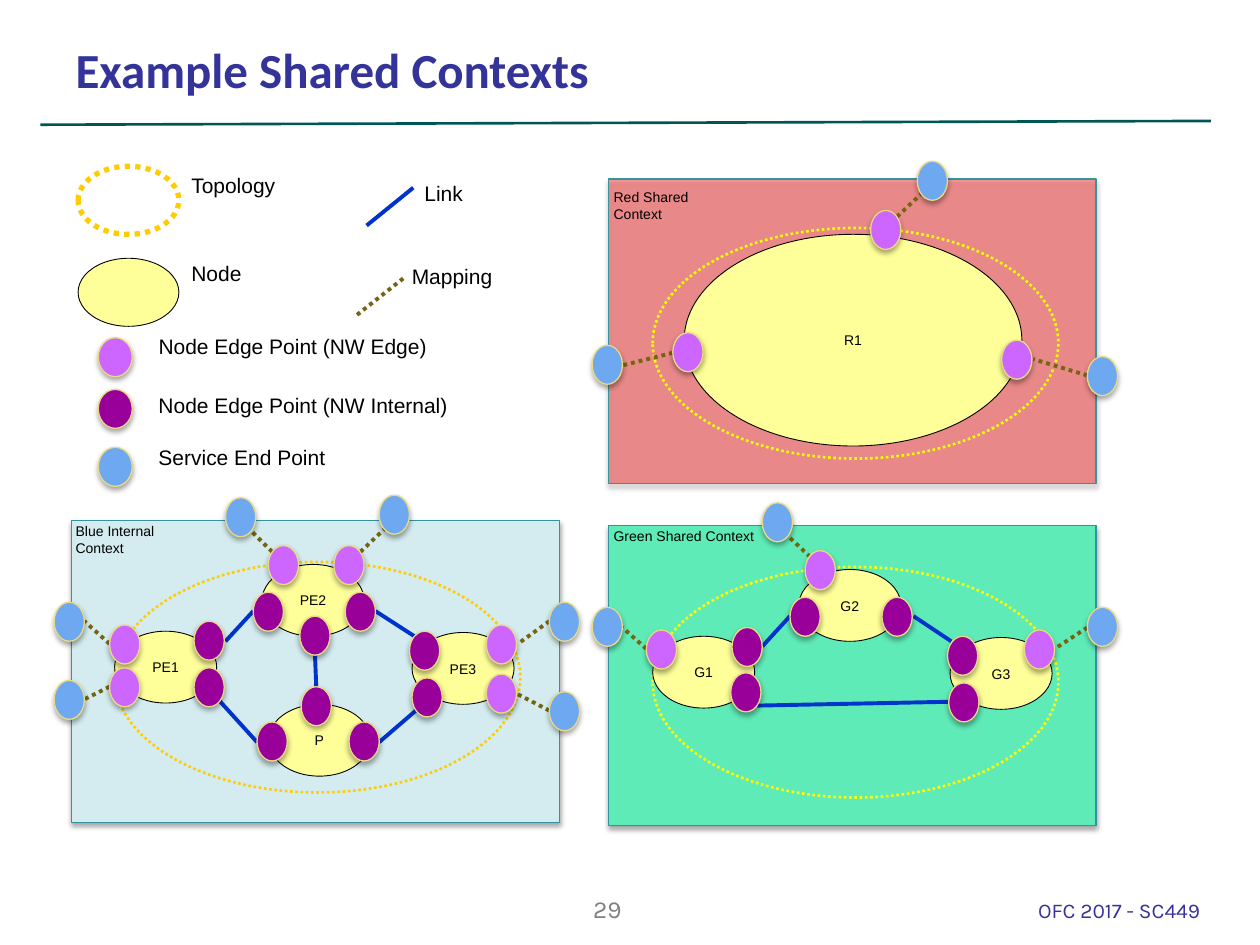
from dataclasses import dataclass
from lxml.etree import SubElement
from pptx import Presentation
from pptx.dml.color import RGBColor
from pptx.enum.dml import MSO_LINE
from pptx.enum.shapes import MSO_CONNECTOR, MSO_SHAPE
from pptx.enum.text import MSO_ANCHOR, MSO_AUTO_SIZE, PP_ALIGN
from pptx.oxml.ns import qn
from pptx.util import Inches, Pt


@dataclass(frozen=True)
class Theme:
    title: str = "333399"
    rule: str = "005557"
    text: str = "000000"
    page: str = "808080"
    node: str = "FFFF99"
    edge: str = "CC66FF"
    internal: str = "990099"
    service: str = "6DA8F0"
    point_line: str = "EBDA84"
    panel_line: str = "35939E"
    link: str = "0033CC"
    mapping: str = "756513"
    orange: str = "FFCC00"
    yellow: str = "FFFF00"
    red: str = "FF0000"
    green: str = "5FEBB7"
    blue: str = "D4ECEF"
    title_size: int = 28
    page_size: int = 14
    legend_size: int = 12
    small_size: int = 8


theme = Theme()
presentation = Presentation()
presentation.slide_width, presentation.slide_height = Inches(10), Inches(7.5)
slide = presentation.slides.add_slide(presentation.slide_layouts[5])


def add_figure(kind, left, top, width, height, fill, line, weight, shadow=False):
    figure = slide.shapes.add_shape(
        kind, Inches(left), Inches(top), Inches(width), Inches(height))
    if fill:
        figure.fill.solid()
        figure.fill.fore_color.rgb = RGBColor.from_string(fill)
    else:
        figure.fill.background()
    figure.line.color.rgb = RGBColor.from_string(line)
    figure.line.width = Pt(weight)
    figure.shadow.inherit = False
    if shadow:
        effects = figure._element.spPr.find(qn("a:effectLst"))
        outer = SubElement(effects, qn("a:outerShdw"), blurRad=str(Pt(3.1)),
                           dist=str(Pt(1.8)), dir="5400000", rotWithShape="0")
        black = SubElement(outer, qn("a:srgbClr"), val="000000")
        SubElement(black, qn("a:alpha"), val="35000")
    return figure


def add_line(x1, y1, x2, y2, color, weight=2.25, dash=None):
    line = slide.shapes.add_connector(
        MSO_CONNECTOR.STRAIGHT, Inches(x1), Inches(y1), Inches(x2), Inches(y2))
    line.line.color.rgb = RGBColor.from_string(color)
    line.line.width = Pt(weight)
    line.line.dash_style = dash
    SubElement(line._element.spPr, qn("a:effectLst"))


add_line(0.32, 0.99, 9.61, 0.96, theme.rule, 1.5)

title = slide.shapes.title
title.left, title.top, title.width, title.height = (
    Inches(0.5), Inches(0.28), Inches(9), Inches(0.55))
title.text_frame.text = "Example Shared Contexts"
title.text_frame.auto_size = MSO_AUTO_SIZE.NONE
title.text_frame.vertical_anchor = MSO_ANCHOR.BOTTOM
heading = title.text_frame.paragraphs[0]
heading.alignment = PP_ALIGN.LEFT
heading.font.name, heading.font.size, heading.font.bold = "Calibri", Pt(theme.title_size), True
heading.font.color.rgb = RGBColor.from_string(theme.title)

for top, color in [(2.68, theme.edge), (3.09, theme.internal), (3.55, theme.service)]:
    add_figure(MSO_SHAPE.OVAL, 0.78, top, 0.27, 0.31, color, theme.point_line, 0.75, True)
add_line(3.28, 1.49, 2.91, 1.79, theme.link)
add_line(3.2, 2.21, 2.82, 2.51, theme.mapping, dash=MSO_LINE.ROUND_DOT)
legend_topology = add_figure(MSO_SHAPE.OVAL, 0.62, 1.32, 0.8, 0.54, None, theme.orange, 3)
legend_topology.line.dash_style = MSO_LINE.ROUND_DOT
add_figure(MSO_SHAPE.OVAL, 0.62, 2.05, 0.8, 0.54, theme.node, theme.text, 0.5)

contexts = [
    dict(
        panel=(4.83, 4.17, 3.87, 2.38), fill=theme.green, opacity=100,
        topology=(5.18, 4.5), topology_color=theme.yellow,
        links=[(6.27, 4.89, 6.05, 5.13), (7.53, 5.57, 6.01, 5.6), (7.55, 5.09, 7.25, 4.89)],
        nodes=[("G1", 5.18, 5.05, 0.81, 0.57), ("G2", 6.34, 4.52, 0.81, 0.57),
               ("G3", 7.54, 5.06, 0.81, 0.57)],
        internal=[(5.81, 4.98), (5.8, 5.34), (6.27, 4.74), (7, 4.74), (7.52, 5.05), (7.53, 5.42)],
        edge=[(5.13, 5), (6.39, 4.37), (8.13, 5)],
        mappings=[(5.13, 5.15, 4.94, 4.98), (8.63, 4.98, 8.37, 5.15), (6.43, 4.42, 6.26, 4.26)],
        service=[(4.7, 4.82), (8.63, 4.82), (6.05, 3.99)],
    ),
    dict(
        panel=(4.83, 1.42, 3.87, 2.42), fill=theme.red, opacity=38,
        topology=(5.18, 1.81), topology_color=theme.yellow,
        links=[],
        nodes=[("R1", 5.43, 1.86, 2.68, 1.68)],
        internal=[],
        edge=[(5.34, 2.64), (6.91, 1.67), (7.95, 2.7)],
        mappings=[(5.34, 2.8, 4.94, 2.9), (8.63, 2.98, 8.2, 2.85), (7.12, 1.72, 7.31, 1.54)],
        service=[(4.7, 2.74), (8.63, 2.83), (7.28, 1.28)],
    ),
    dict(
        panel=(0.57, 4.13, 3.87, 2.4), fill=theme.blue, opacity=100,
        topology=(0.91, 4.46), topology_color=theme.orange,
        links=[(2.01, 4.85, 1.79, 5.09), (2.04, 5.89, 1.74, 5.56), (2.51, 5.45, 2.5, 5.2),
               (3.29, 5.05, 2.98, 4.85), (3.3, 5.64, 3.01, 5.89)],
        nodes=[("P", 2.13, 5.59, 0.81, 0.57), ("PE1", 0.91, 5.01, 0.81, 0.57),
               ("PE2", 2.08, 4.48, 0.81, 0.57), ("PE3", 3.27, 5.02, 0.81, 0.57)],
        internal=[(2.04, 5.73), (2.77, 5.73), (2.39, 5.45), (1.54, 4.93), (1.54, 5.3),
                  (2.01, 4.7), (2.38, 4.89), (2.74, 4.7), (3.25, 5.01), (3.27, 5.38)],
        edge=[(0.87, 4.96), (0.87, 5.3), (2.13, 4.33), (2.65, 4.33), (3.86, 4.96), (3.86, 5.35)],
        mappings=[(0.87, 5.11, 0.67, 4.93), (0.87, 5.45, 0.67, 5.55), (4.36, 4.93, 4.11, 5.11),
                  (4.36, 5.64, 4.11, 5.51), (2.16, 4.38, 1.99, 4.21), (2.86, 4.38, 3.05, 4.2)],
        service=[(0.43, 4.78), (0.43, 5.4), (4.36, 4.78), (4.36, 5.49), (3.01, 3.93), (1.79, 3.95)],
    ),
]

for context in contexts:
    panel = add_figure(MSO_SHAPE.RECTANGLE, *context["panel"], context["fill"],
                       theme.panel_line, 0.75, True)
    if context["opacity"] < 100:
        panel_color = panel._element.spPr.find(qn("a:solidFill"))[0]
        SubElement(panel_color, qn("a:alpha"), val=str(context["opacity"] * 1000))
    topology = add_figure(MSO_SHAPE.OVAL, *context["topology"], 3.22, 1.83, None,
                          context["topology_color"], 1.5)
    topology.line.dash_style = MSO_LINE.ROUND_DOT
    for ends in context["links"]:
        add_line(*ends, theme.link)
    for name, *box in context["nodes"]:
        node = add_figure(MSO_SHAPE.OVAL, *box, theme.node, theme.text, 0.5)
        frame = node.text_frame
        frame.margin_left = frame.margin_right = Inches(0.05)
        frame.margin_top = frame.margin_bottom = Inches(0.05)
        frame.vertical_anchor = MSO_ANCHOR.MIDDLE
        frame.text = name
        node_name = frame.paragraphs[0]
        node_name.alignment = PP_ALIGN.CENTER
        node_name.font.name, node_name.font.size = "Arial", Pt(theme.small_size)
        node_name.font.color.rgb = RGBColor.from_string(theme.text)
    for ends in context["mappings"]:
        add_line(*ends, theme.mapping, dash=MSO_LINE.ROUND_DOT)
    for role, color in [("internal", theme.internal), ("edge", theme.edge),
                        ("service", theme.service)]:
        for left, top in context[role]:
            add_figure(MSO_SHAPE.OVAL, left, top, 0.24, 0.31, color, theme.point_line, 0.75, True)

legend_style = ("Arial", theme.legend_size, theme.text, PP_ALIGN.LEFT, 0.1, 0.05)
context_style = ("Arial", theme.small_size, theme.text, PP_ALIGN.LEFT, 0, 0)
page_style = ("Karla", theme.page_size, theme.page, PP_ALIGN.CENTER, 0.1, 0.05)
footer_style = ("Karla", theme.legend_size, theme.title, PP_ALIGN.LEFT, 0.1, 0.05)
captions = [
    ("Topology", 1.42, 1.32, 1.48, 0.42, legend_style),
    ("Node", 1.42, 2.02, 1.48, 0.42, legend_style),
    ("Link", 3.27, 1.38, 1.48, 0.42, legend_style),
    ("Mapping", 3.17, 2.04, 1.46, 0.42, legend_style),
    ("Node Edge Point (NW Edge)", 1.16, 2.6, 4.22, 0.42, legend_style),
    ("Node Edge Point (NW Internal)", 1.16, 3.07, 4.46, 0.7, legend_style),
    ("Service End Point", 1.16, 3.48, 3.5, 0.42, legend_style),
    ("Red Shared Context", 4.87, 1.5, 0.93, 0.38, context_style),
    ("Green Shared Context", 4.87, 4.19, 1.13, 0.38, context_style),
    ("Blue Internal Context", 0.6, 4.15, 0.97, 0.38, context_style),
    ("29", 4.34, 7.05, 0.96, 0.4, page_style),
    ("OFC 2017 - SC449", 8.14, 7.07, 1.8, 0.28, footer_style),
]
for words, left, top, width, height, style in captions:
    font_name, size, color, alignment, inset_x, inset_y = style
    caption = slide.shapes.add_textbox(Inches(left), Inches(top), Inches(width), Inches(height))
    frame = caption.text_frame
    frame.word_wrap = True
    frame.margin_left = frame.margin_right = Inches(inset_x)
    frame.margin_top = frame.margin_bottom = Inches(inset_y)
    frame.text = words
    line = frame.paragraphs[0]
    line.alignment = alignment
    line.font.name, line.font.size = font_name, Pt(size)
    line.font.color.rgb = RGBColor.from_string(color)

presentation.save("out.pptx")
